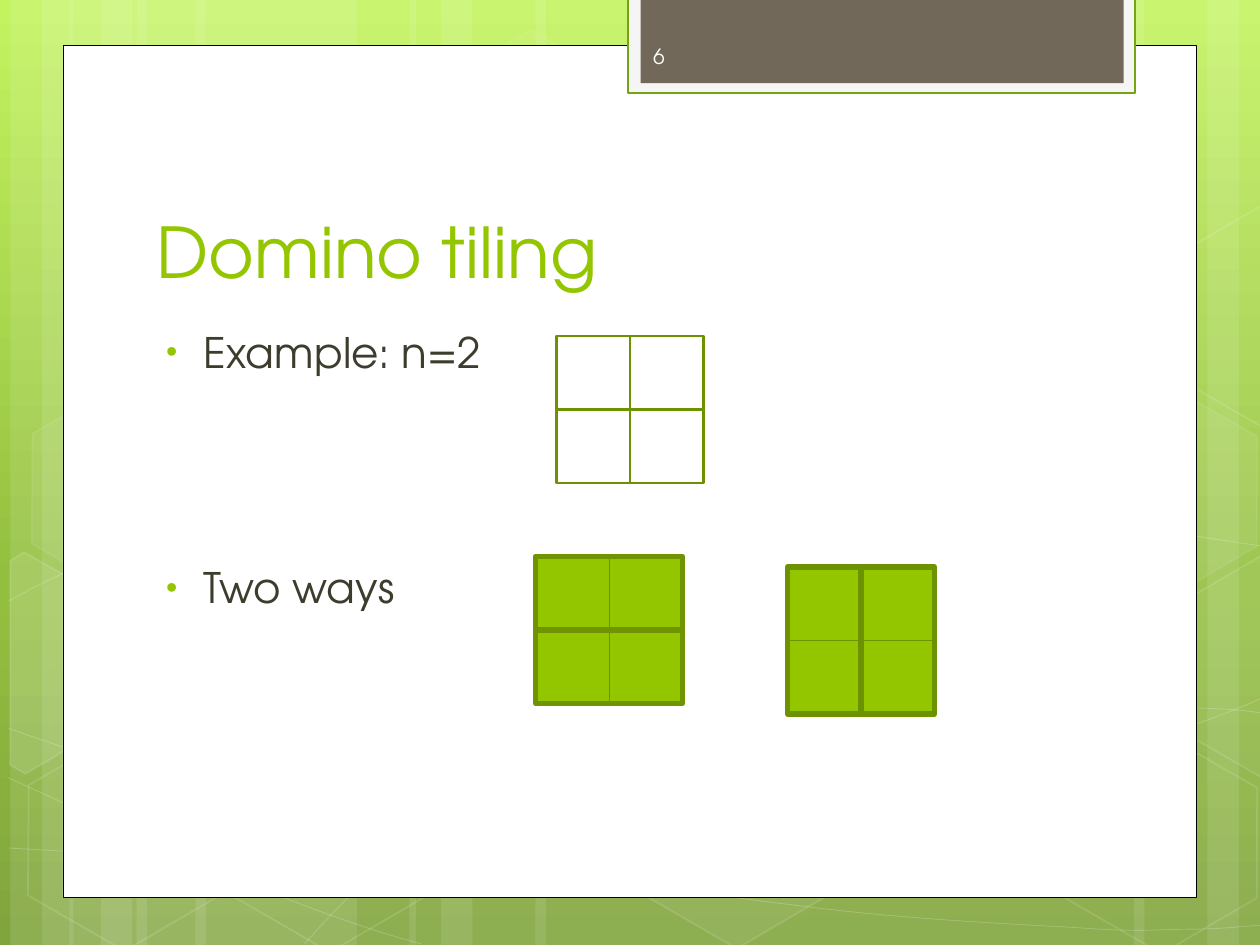
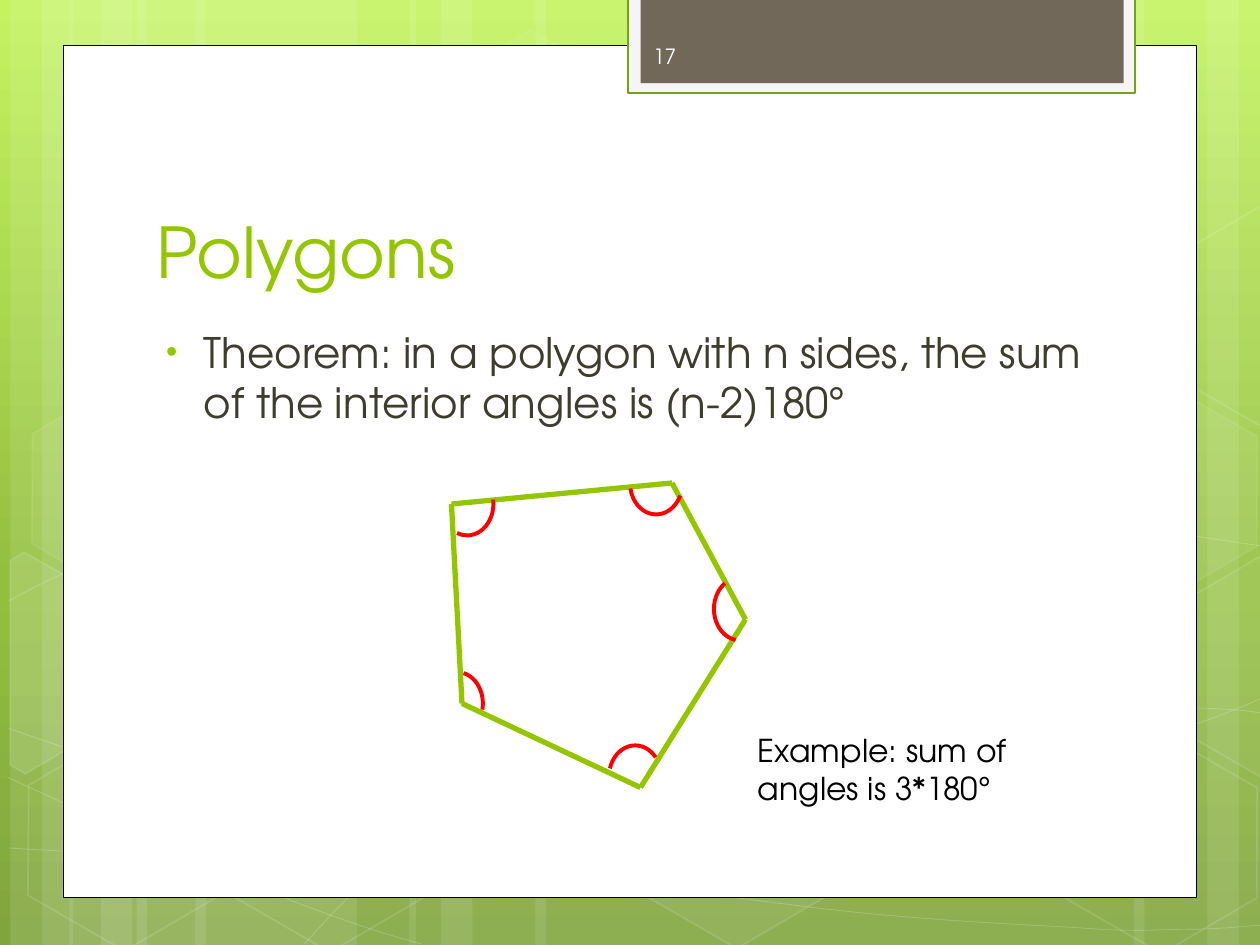
from copy import deepcopy
from itertools import product
from math import cos, radians, sin

from lxml.etree import SubElement
from pptx import Presentation
from pptx.dml.color import RGBColor as Rgb
from pptx.enum.shapes import MSO_CONNECTOR as Link, MSO_SHAPE as Preset
from pptx.enum.text import MSO_ANCHOR as Anchor
from pptx.oxml.ns import qn
from pptx.util import Pt

COLORS = {
    "lime": "94C600",
    "olive": "6D9200",
    "outline": "6F9400",
    "ink": "3E3D2D",
    "white": "FFFFFF",
    "black": "000000",
    "red": "FF0000",
    "tab": "71685A",
    "tab_rim": "F5F5F5",
    "tab_edge": "74A510",
    "page_number": "FEFEFE",
}
BACKDROP = [(0, "C3F35F"), (0.62, "93BF3F"), (1, "81A53E")]
FONT = "TeX Gyre Adventor"
TILT = 30

BANDS = [
    (78, 126), (6, 36), (24, 60), (111.6, 126), (39.6, 36), (57.6, 60),
    (528, 126), (690, 36), (648, 60), (306, 222), (234, 36), (252, 60),
]
CURVES = [
    [(5, 484.6), (44, 487), (83, 489), (137, 488), (191, 487), (258, 486), (330, 479),
     (402, 472), (504, 458), (570, 444), (636, 431), (703, 409), (725, 396.7)],
    [(5, 343.4), (26, 332), (47, 321), (87, 310), (128, 300), (186, 284), (250, 279),
     (314, 274), (392, 273), (471, 279), (550, 284), (682, 307), (725, 312.5)],
    [(4.3, 444.2), (91, 484), (178, 523), (240.5, 539.3)],
    [(5, 416.2), (27, 424), (50, 432), (92, 444), (134, 454), (197, 472), (257, 485),
     (317, 497), (392, 510), (452, 517), (512, 525), (576, 528), (614, 530),
     (652, 533), (662, 531), (680, 531), (699, 531), (712, 529), (725, 528.5)],
    [(174.2, 539.3), (187, 525), (200, 510), (217, 498), (235, 485), (259, 470), (279, 460),
     (300, 450), (312, 446), (338, 438), (364, 431), (413, 421), (438, 416),
     (464, 411), (467, 411), (490, 410), (512, 407), (547, 405), (572, 404.6),
     (597, 404), (638, 404.6), (638, 404.6), (638, 404.6), (686, 404.6), (686, 404.6),
     (699, 405), (711, 406), (718, 407), (724, 408), (722, 407), (724.3, 407.5)],
]
HEXAGONS = [
    (240.5, 25.9, 4, 8), (357.8, 424.1, 6, 12), (7.9, 425.5, 0, 12), (10.1, 224.6, 7, 8),
    (125.3, 426.2, 0, 12), (542.2, 326.2, 10, 12), (600.5, 427, 0, 12), (600.5, 226.1, 7, 8),
]
CUT_HEXAGONS = [
    (10, (25.9, 385.2), [(5.8, 320.4), (13.7, 315.4), (69.1, 347), (68.4, 410.4),
                         (14.4, 442.1), (5.8, 437)]),
    (4, (709.2, 374.4), [(666.7, 349.2), (720.7, 317.5), (726.5, 321.1), (726.5, 441.4),
                         (721.4, 444.2), (666.7, 412.6)]),
    (0, (709.2, 173.5), [(666.7, 149), (720.7, 117.4), (727.2, 121), (726.5, 241.2),
                         (721.4, 244.1), (666.7, 212.4)]),
]
PAGES = [
    ("6", "Domino tiling", ["Example: n=2", "Two ways"], 533.5),
    ("17", "Polygons",
     ["Theorem: in a polygon with n sides, the sum of the interior angles is (n-2)180°"], 553.7),
]


def paint(shape, fill=None, line=None, width=1, fill_alpha=100, line_alpha=100):
    shape.shadow.inherit = False
    for part, color, alpha in ((shape.fill, fill, fill_alpha), (shape.line.fill, line, line_alpha)):
        if color is None or alpha == 0:
            part.background()
            continue
        part.solid()
        part.fore_color.rgb = Rgb.from_string(COLORS[color])
        if alpha < 100:
            owner = shape._element.spPr if part is shape.fill else shape.line._ln
            tint = owner.find(qn("a:solidFill")).find(qn("a:srgbClr"))
            SubElement(tint, qn("a:alpha"), val=str(alpha * 1000))
    if line:
        shape.line.width = Pt(width)


def write(slide, box, lines, size, color, anchor=Anchor.TOP):
    frame = slide.shapes.add_textbox(*map(Pt, box)).text_frame
    frame.word_wrap = True
    frame.vertical_anchor = anchor
    frame.text = "\n".join(lines)
    for paragraph in frame.paragraphs:
        for run in paragraph.runs:
            run.font.name = FONT
            run.font.size = Pt(size)
            run.font.color.rgb = Rgb.from_string(COLORS[color])
    return frame.paragraphs


prs = Presentation()
prs.slide_width, prs.slide_height = Pt(720), Pt(540)

backdrop = prs.slide_master.background.fill
backdrop.gradient()
backdrop.gradient_angle = 270
stop_list = prs.slide_master.element.find(".//" + qn("a:gsLst"))
stop_list.append(deepcopy(stop_list[-1]))
for stop, (position, color) in zip(backdrop.gradient_stops, BACKDROP):
    stop.position = position
    stop.color.rgb = Rgb.from_string(color)

slides = []
for number, title, points, body_width in PAGES:
    slide = prs.slides.add_slide(prs.slide_layouts[6])
    slides.append(slide)
    shapes = slide.shapes

    for left, width in BANDS:
        band = shapes.add_shape(Preset.RECTANGLE, Pt(left), 0, Pt(width), Pt(540))
        paint(band, "white", fill_alpha=10)

    for knots in CURVES:
        pen = shapes.build_freeform(*map(Pt, knots[0]))
        pen.add_line_segments([(Pt(x), Pt(y)) for x, y in knots[1:]], close=False)
        curve = pen.convert_to_shape()
        outline = curve._element.find(".//" + qn("a:moveTo")).getparent()
        legs = outline.findall(qn("a:lnTo"))
        for first in range(0, len(legs), 3):
            bend = SubElement(outline, qn("a:cubicBezTo"))
            for leg in legs[first:first + 3]:
                bend.append(leg[0])
                outline.remove(leg)
        paint(curve, line="white", width=0.5, line_alpha=20)

    for left, top, fill_alpha, line_alpha in HEXAGONS:
        hexagon = shapes.add_shape(Preset.HEXAGON, Pt(left), Pt(top), Pt(126), Pt(109.4))
        hexagon.adjustments[0] = 0.285
        hexagon.rotation = TILT
        paint(hexagon, "white", "white", 1, fill_alpha, line_alpha)

    cosine, sine = cos(radians(TILT)), sin(radians(TILT))
    for fill_alpha, (mid_x, mid_y), corners in CUT_HEXAGONS:
        upright = [
            (Pt(mid_x + (x - mid_x) * cosine + (y - mid_y) * sine),
             Pt(mid_y + (y - mid_y) * cosine - (x - mid_x) * sine))
            for x, y in corners
        ]
        pen = shapes.build_freeform(*upright[0])
        pen.add_line_segments(upright[1:], close=True)
        cut_hexagon = pen.convert_to_shape()
        cut_hexagon.rotation = TILT
        paint(cut_hexagon, "white", "white", 1, fill_alpha, 12)

    for box, fill, line, width in (
        ((36, 25.8, 648, 487.3), "white", "black", 0.5),
        ((358.9, -1.5, 289.8, 54.8), "tab_rim", "tab_edge", 1.25),
        ((366.1, -1.5, 276, 49), "tab", None, 0),
    ):
        panel = shapes.add_shape(Preset.RECTANGLE, *map(Pt, box))
        paint(panel, fill, line, width)

    write(slide, (82.4, 80.6, 553, 90), [title], 40, "lime", Anchor.BOTTOM)
    bullets = write(slide, (82.4, 183, body_width, 276.5), points, 24, "ink")
    for bullet, gap in zip(bullets, (4.8, 105.7)):
        bullet.space_before = Pt(gap)
        props = bullet._p.get_or_add_pPr()
        props.set("marL", str(Pt(27)))
        props.set("indent", str(Pt(-21.6)))
        SubElement(SubElement(props, qn("a:buClr")), qn("a:srgbClr"), val=COLORS["lime"])
        SubElement(props, qn("a:buSzPct"), val="76000")
        SubElement(props, qn("a:buFont"), typeface="Arial")
        SubElement(props, qn("a:buChar"), char="•")
    write(slide, (366.1, 17.6, 105, 28.8), [number], 12, "page_number", Anchor.MIDDLE)

domino_slide, polygon_slide = slides

SIDE = 42
for left, top, fill, width, domino, edge_color in (
    (318, 192, None, 1.25, None, None),
    (306, 318, "lime", 0.25, (2, 1), "outline"),
    (450, 324, "lime", 0.25, (1, 2), "olive"),
):
    for column, row in product(range(2), repeat=2):
        cell = domino_slide.shapes.add_shape(
            Preset.RECTANGLE, Pt(left + column * SIDE), Pt(top + row * SIDE), Pt(SIDE), Pt(SIDE))
        paint(cell, fill, "olive", width)
    if domino:
        across, down = domino
        for place in range(2):
            mid_x = left + SIDE * (across / 2 + place * (down - 1))
            mid_y = top + SIDE * (down / 2 + place * (across - 1))
            tile = domino_slide.shapes.add_shape(
                Preset.RECTANGLE, Pt(mid_x - SIDE), Pt(mid_y - SIDE / 2), Pt(2 * SIDE), Pt(SIDE))
            tile.rotation = 90 * (down - 1)
            paint(tile, None, edge_color, 3)

vertices = [(258, 288), (384, 276), (426, 354), (366, 450), (264, 402)]
for start, end in zip(vertices, vertices[1:] + vertices[:1]):
    edge = polygon_slide.shapes.add_connector(Link.STRAIGHT, *map(Pt, start + end))
    edge.line.color.rgb = Rgb.from_string(COLORS["lime"])
    edge.line.width = Pt(3)
    SubElement(edge._element.spPr, qn("a:effectLst"))

DEGREE = 0.6
for left, top, start_angle, end_angle in (
    (252, 270, 350.54, 109.08),
    (360, 258, 27.83, 167.86),
    (408, 330, 98.44, 239.31),
    (348, 426, 198.59, 316.37),
    (246, 384, 282.96, 13.55),
):
    angle = polygon_slide.shapes.add_shape(Preset.ARC, Pt(left), Pt(top), Pt(30), Pt(36))
    angle.adjustments[0] = start_angle * DEGREE
    angle.adjustments[1] = end_angle * DEGREE
    paint(angle, None, "red", 2.25)

write(polygon_slide, (426, 414, 198, 51), ["Example: sum of angles is 3*180°"], 18, "black")

prs.save("out.pptx")
